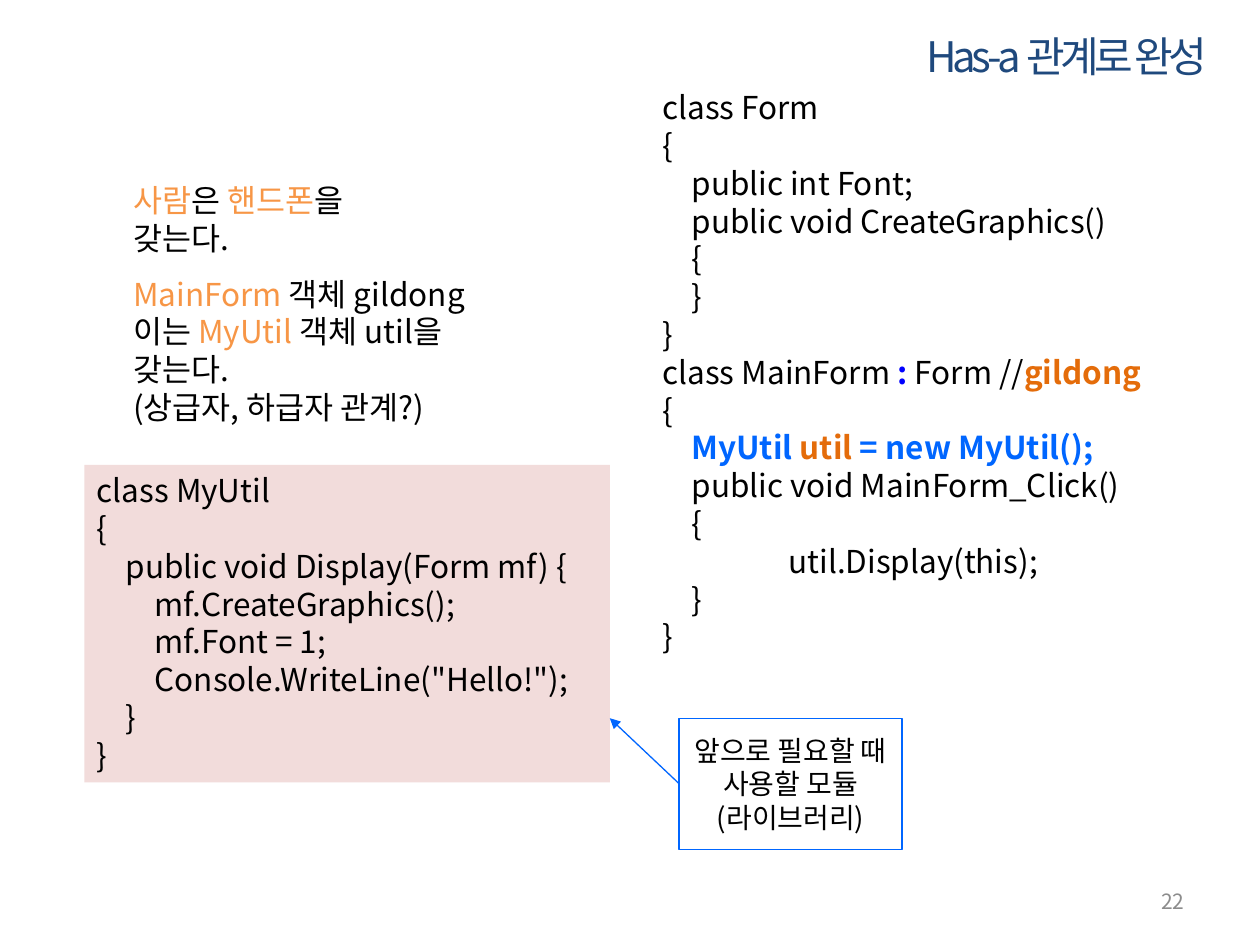
import pptx
import pptx.util
import pptx.dml.color
import pptx.enum.text
import pptx.enum.shapes
import lxml.etree

Inches = pptx.util.Inches
Pt = pptx.util.Pt
ALIGN = pptx.enum.text.PP_ALIGN
ANCHOR = pptx.enum.text.MSO_ANCHOR
RECT = pptx.enum.shapes.MSO_SHAPE.RECTANGLE
BLACK, BLUE, ORANGE, RUST = "000000", "0066FF", "F79646", "E46C0A"
STEP = 0.23  # code indent per level, inches


def color(code):
    return pptx.dml.color.RGBColor.from_string(code)


def write(shape, rows, size=18, ink=BLACK, align=ALIGN.LEFT, anchor=ANCHOR.TOP, space=0):
    """Each row is (indent level, run, run, ...); a run is text or (text, colour, bold)."""
    frame = shape.text_frame
    frame.word_wrap = True
    frame.vertical_anchor = anchor
    for i, (level, *runs) in enumerate(rows):
        para = frame.paragraphs[0] if i == 0 else frame.add_paragraph()
        para.alignment = align
        para.line_spacing = Pt(size * 1.2)
        if level:
            props = para._p.get_or_add_pPr()
            props.set("marL", str(Inches(level * STEP)))
            props.set("indent", "0")
        for item in runs:
            text, tint, bold = (item, ink, False) if isinstance(item, str) else item
            run = para.add_run()
            run.text = text
            font = run.font
            font.size, font.bold, font.name = Pt(size), bold, "Noto Sans CJK KR"
            font.color.rgb = color(tint)
            props = run._r.get_or_add_rPr()
            if space:
                props.set("spc", str(space))
            east = lxml.etree.SubElement(props, pptx.oxml.ns.qn("a:ea"))
            east.set("typeface", "Noto Sans CJK KR")


deck = pptx.Presentation()
deck.slide_width, deck.slide_height = Inches(10), Inches(7.5)
slide = deck.slides.add_slide(deck.slide_layouts[5])
shapes = slide.shapes

# Title
title = shapes.title
title.left, title.top = Inches(6.67), Inches(0.17)
title.width, title.height = Inches(3.01), Inches(0.55)
write(title, [(0, "Has-a 관계로 완성")], size=24, ink="1F497D",
      align=ALIGN.RIGHT, anchor=ANCHOR.MIDDLE, space=-250)

# Utility class panel
panel = shapes.add_shape(RECT, Inches(0.67), Inches(3.69), Inches(4.17), Inches(2.52))
panel.shadow.inherit = False
panel.fill.solid()
panel.fill.fore_color.rgb = color("F2DCDB")
panel.line.fill.background()
write(panel, [
    (0, "class MyUtil"),
    (0, "{"),
    (1, "public void Display(Form mf) {"),
    (2, "mf.CreateGraphics();"),
    (2, "mf.Font = 1;"),
    (2, "Console.WriteLine(\"Hello!\");"),
    (1, "}"),
    (0, "}"),
])

# Form code, explanations and page number
code = [
    (0, "class Form"),
    (0, "{"),
    (1, "public int Font;"),
    (1, "public void CreateGraphics()"),
    (1, "{"),
    (1, "}"),
    (0, "}"),
    (0, "class MainForm ", (": ", "0000FF", True), "Form //", ("gildong", RUST, True)),
    (0, "{"),
    (1, ("MyUtil ", BLUE, True), ("util ", RUST, True), ("= new MyUtil();", BLUE, True)),
    (1, "public void MainForm_Click()"),
    (1, "{"),
    (1 / STEP, "util.Display(this);"),
    (1, "}"),
    (0, "}"),
]
owner = [(0, ("사람", ORANGE, False), "은 ", ("핸드폰", ORANGE, False), "을 갖는다.")]
object_rows = [
    (0, ("MainForm ", ORANGE, False), "객체 gildong이는 ",
     ("MyUtil ", ORANGE, False), "객체 util을 갖는다."),
    (0, "(상급자, 하급자 관계?)"),
]
page = dict(size=12, ink="8C8C8C", align=ALIGN.RIGHT, anchor=ANCHOR.MIDDLE)
for place, rows, form in [
    ((5.16, 0.65, 4.65, 4.95), code, {}),
    ((0.96, 1.39, 1.89, 0.71), owner, {}),
    ((0.96, 2.13, 3.1, 1.01), object_rows, {}),
    ((7.17, 6.95, 2.33, 0.4), [(0, "22")], page),
]:
    write(shapes.add_textbox(*map(Inches, place)), rows, **form)

# Callout with arrow to the panel
note = shapes.add_shape(RECT, Inches(5.39), Inches(5.7), Inches(1.77), Inches(1.04))
note.shadow.inherit = False
note.fill.background()
write(note, [(0, "앞으로 필요할 때 사용할 모듈"), (0, "(라이브러리)")],
      size=16, align=ALIGN.CENTER, anchor=ANCHOR.MIDDLE)
arrow = shapes.add_connector(pptx.enum.shapes.MSO_CONNECTOR.STRAIGHT,
                             Inches(5.39), Inches(6.22), Inches(4.84), Inches(5.7))
for part in (note, arrow):
    part.line.color.rgb = color(BLUE)
    part.line.width = Pt(0.75)
tail = lxml.etree.SubElement(arrow.line._get_or_add_ln(), pptx.oxml.ns.qn("a:tailEnd"))
tail.set("type", "triangle")
lxml.etree.SubElement(arrow._element.spPr, pptx.oxml.ns.qn("a:effectLst"))

deck.save("out.pptx")
